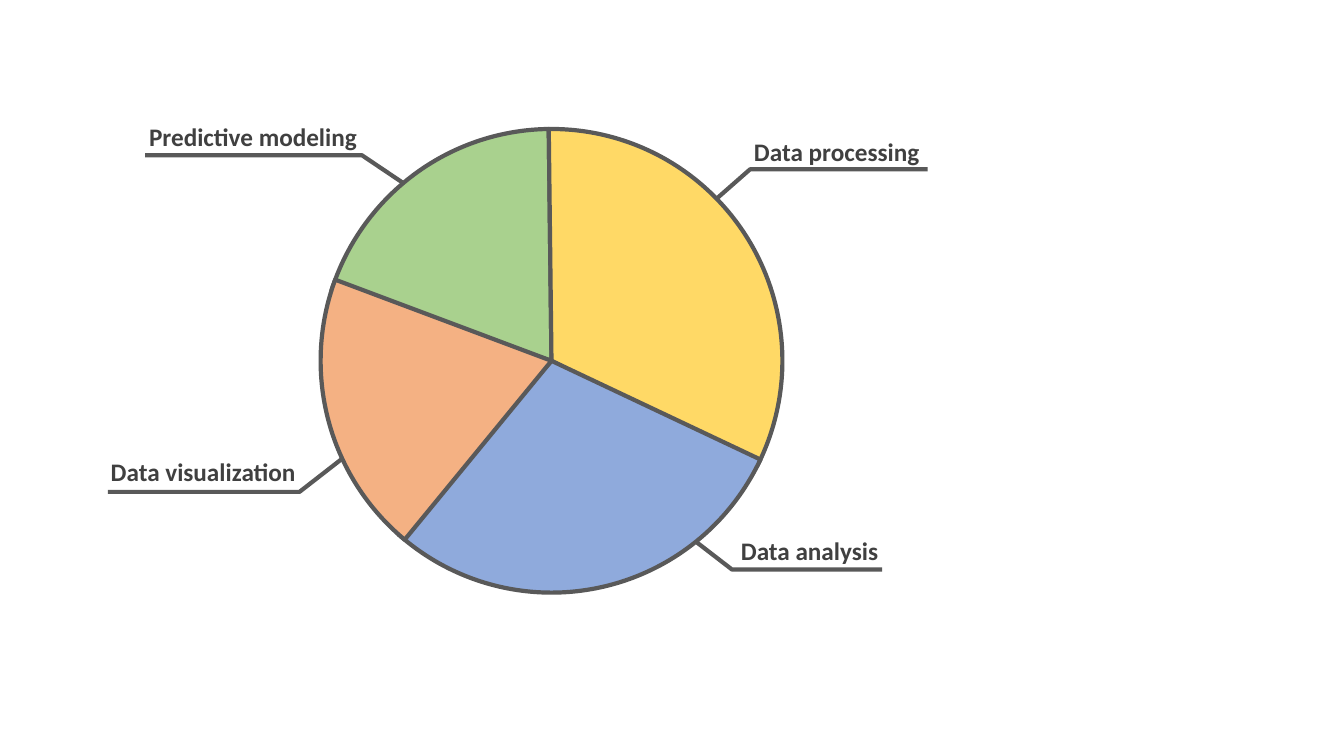
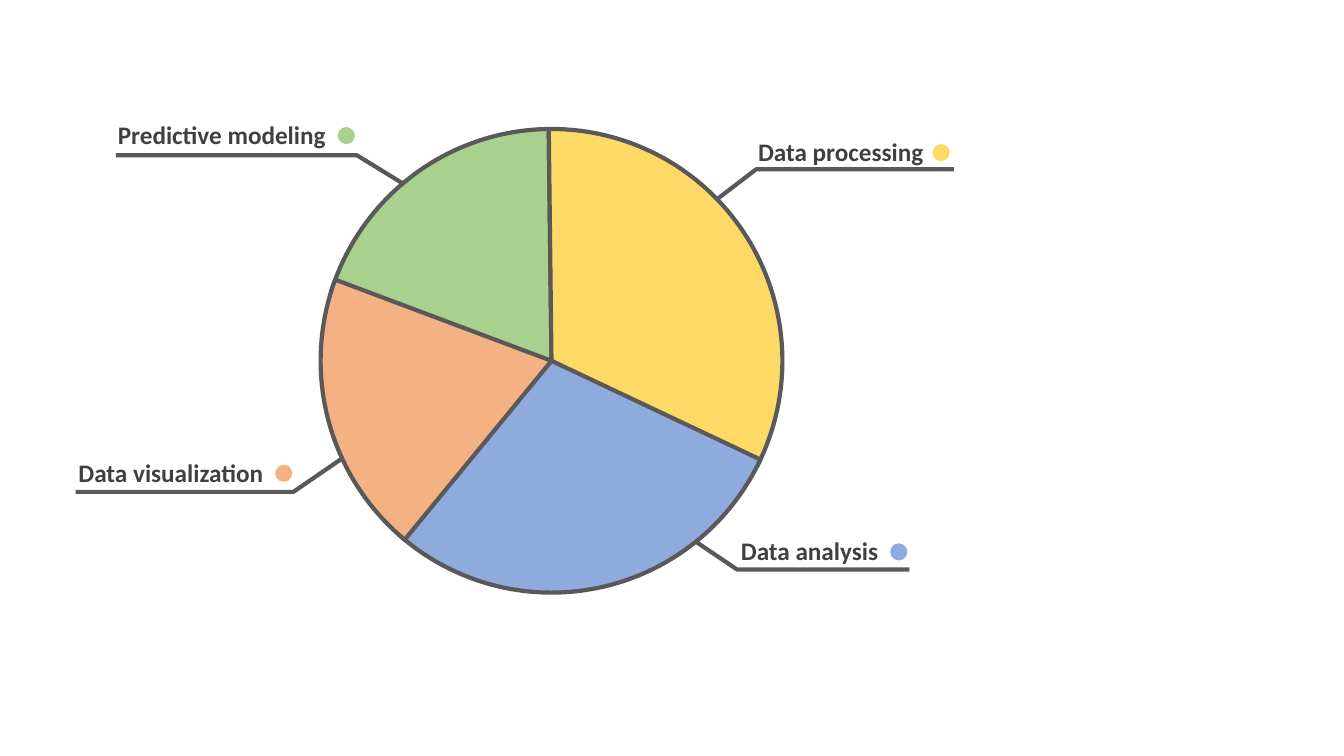
"""Build two slides with a labelled pie of data services."""
from collections import namedtuple

from pptx import Presentation
from pptx.dml.color import RGBColor
from pptx.enum.shapes import MSO_SHAPE as Shape
from pptx.enum.text import MSO_AUTO_SIZE as AutoSize
from pptx.util import Inches, Pt

Segment = namedtuple("Segment", "name color start end rim line_y label_width")
Callout = namedtuple("Callout", "bend_x end_x label dot", defaults=[None])

SEGMENTS = [
    Segment("Predictive modeling", "A9D18E", 197.54, 269.32, (4.11, 1.89), 1.54, 2.36),
    Segment("Data processing", "FFD966", 269.32, 27.13, (7.03, 2.04), 1.68, 2),
    Segment("Data analysis", "8FAADC", 25.3, 131.4, (6.91, 5.38), 5.65, 2.36),
    Segment("Data visualization", "F4B183", 129.36, 200.56, (3.42, 4.53), 4.88, 2.17),
]
PLAIN_CALLOUTS = [
    Callout(3.59, 1.44, (1.38, 1.15)),
    Callout(7.44, 9.2, (7.38, 1.3)),
    Callout(7.26, 8.75, (7.25, 5.26)),
    Callout(2.97, 1.07, (1, 4.48)),
]
DOTTED_CALLOUTS = [
    Callout(3.54, 1.15, (1.07, 1.13), (3.35, 1.26)),
    Callout(7.5, 9.46, (7.42, 1.3), (9.25, 1.43)),
    Callout(7.31, 9.02, (7.25, 5.26), (8.83, 5.39)),
    Callout(2.91, 0.75, (0.68, 4.49), (2.73, 4.61)),
]
PIE_BOX = (3.18, 1.28, 4.58, 4.6)
DOT_SIZE = 0.17
ADJUSTMENT_PER_DEGREE = 0.6


def rgb(value):
    return RGBColor.from_string(value)


def write_text(frame, text, *, font, size, color, bold=False):
    run = frame.paragraphs[0].add_run()
    run.text = text
    run.font.name = font
    run.font.size = Pt(size)
    run.font.bold = bold
    run.font.color.rgb = rgb(color)


class Deck:
    font = "Calibri"
    text_color = "404040"
    line_color = "595959"
    line_width = 3

    def __init__(self):
        self.presentation = Presentation()
        self.presentation.slide_width = Inches(13.33)
        self.presentation.slide_height = Inches(7.5)
        self.slide = None

    def add_slide(self):
        blank_layout = self.presentation.slide_layouts[6]
        self.slide = self.presentation.slides.add_slide(blank_layout)

    def outline(self, shape):
        shape.line.color.rgb = rgb(self.line_color)
        shape.line.width = Pt(self.line_width)

    def preset(self, kind, box, color):
        shape = self.slide.shapes.add_shape(kind, *map(Inches, box))
        shape.shadow.inherit = False
        shape.fill.solid()
        shape.fill.fore_color.rgb = rgb(color)
        return shape

    def wedge(self, box, color, start, end):
        shape = self.preset(Shape.PIE, box, color)
        shape.adjustments[0] = start * ADJUSTMENT_PER_DEGREE
        shape.adjustments[1] = end * ADJUSTMENT_PER_DEGREE
        self.outline(shape)

    def dot(self, left, top, color):
        shape = self.preset(Shape.OVAL, (left, top, DOT_SIZE, DOT_SIZE), color)
        shape.line.fill.background()

    def leader(self, *points):
        start, *rest = [(Inches(x), Inches(y)) for x, y in points]
        builder = self.slide.shapes.build_freeform(*start)
        builder.add_line_segments(rest, close=False)
        shape = builder.convert_to_shape()
        shape.shadow.inherit = False
        shape.fill.background()
        self.outline(shape)

    def label(self, text, left, top, width):
        box = self.slide.shapes.add_textbox(*map(Inches, (left, top, width, 0.4)))
        frame = box.text_frame
        frame.word_wrap = True
        frame.auto_size = AutoSize.SHAPE_TO_FIT_TEXT
        write_text(frame, text, font=self.font, size=18,
                   color=self.text_color, bold=True)


def build_pie_slide(deck, callouts):
    deck.add_slide()
    for segment, callout in zip(SEGMENTS, callouts):
        deck.leader(segment.rim, (callout.bend_x, segment.line_y),
                    (callout.end_x, segment.line_y))
        deck.label(segment.name, *callout.label, segment.label_width)
    for segment in SEGMENTS:
        deck.wedge(PIE_BOX, segment.color, segment.start, segment.end)
    for segment, callout in zip(SEGMENTS, callouts):
        if callout.dot:
            deck.dot(*callout.dot, segment.color)


deck = Deck()
for callouts in (PLAIN_CALLOUTS, DOTTED_CALLOUTS):
    build_pie_slide(deck, callouts)
deck.presentation.save("out.pptx")
